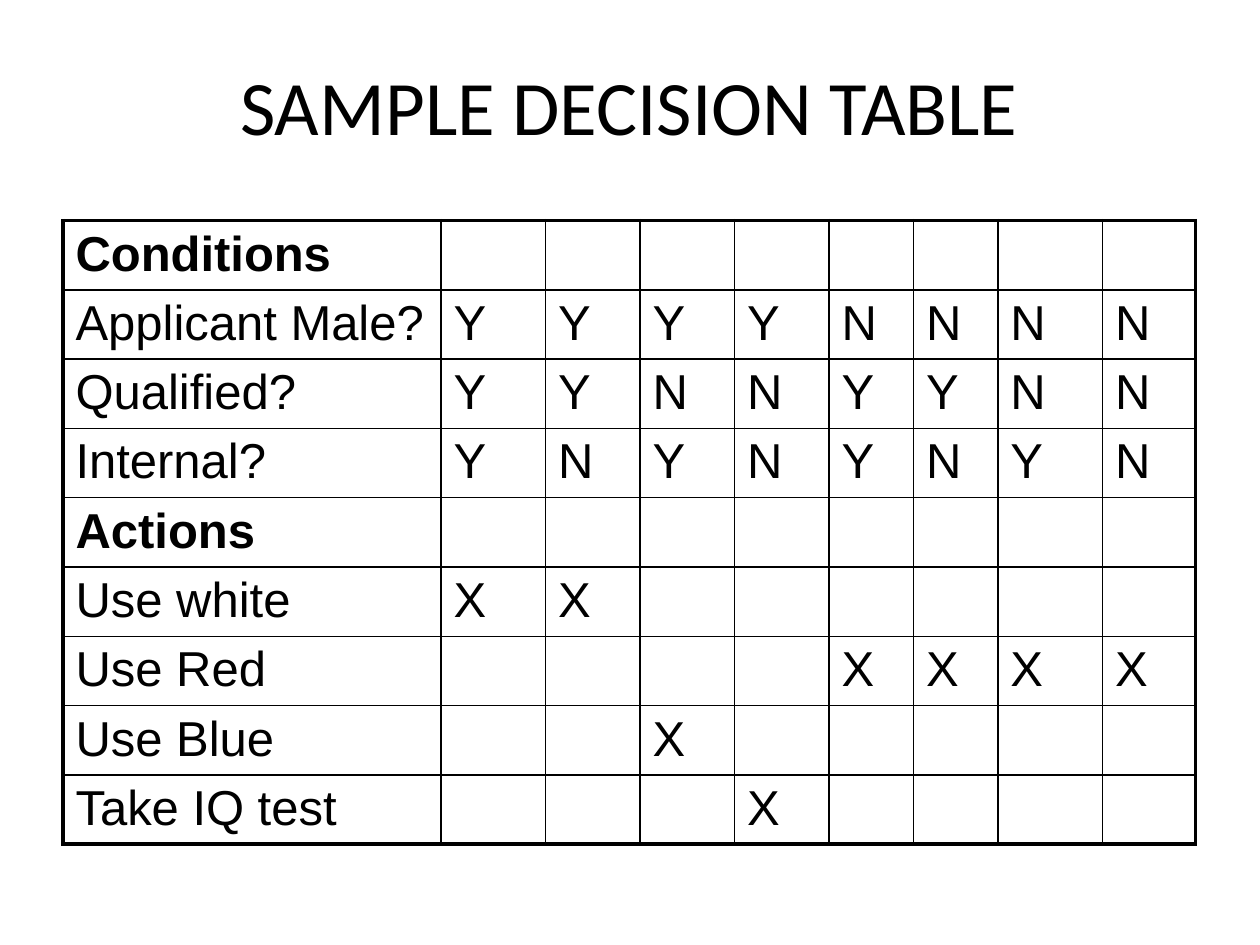
from lxml import etree
from pptx import Presentation
from pptx.dml.color import RGBColor
from pptx.enum.text import MSO_ANCHOR, PP_ALIGN
from pptx.oxml.ns import qn
from pptx.util import Inches, Pt

CENTER = PP_ALIGN.CENTER
MIDDLE = MSO_ANCHOR.MIDDLE
TITLE_ONLY = 5

COLORS = {"ink": "000000"}
OUTER_WIDTH = Pt(2.25)
INNER_WIDTH = Pt(1)
COLUMN_WIDTHS = [3, 0.83, 0.75, 0.75, 0.75, 0.67, 0.67, 0.83, 0.74]
ROW_HEIGHT = 0.55
HEADINGS = {"Conditions", "Actions"}
DECISIONS = [
    ("Conditions", "--------"),
    ("Applicant Male?", "YYYYNNNN"),
    ("Qualified?", "YYNNYYNN"),
    ("Internal?", "YNYNYNYN"),
    ("Actions", "--------"),
    ("Use white", "XX------"),
    ("Use Red", "----XXXX"),
    ("Use Blue", "--X-----"),
    ("Take IQ test", "---X----"),
]


def add_text(paragraph, text, font_name, size, bold=False):
    run = paragraph.add_run()
    run.text = text
    run.font.name = font_name
    run.font.size = Pt(size)
    run.font.bold = bold
    run.font.color.rgb = RGBColor.from_string(COLORS["ink"])


def add_title(slide, text):
    title = slide.shapes.title
    title.left, title.top = Inches(0.5), Inches(0.33)
    title.width, title.height = Inches(8.99), Inches(1)
    title.text_frame.vertical_anchor = MIDDLE
    paragraph = title.text_frame.paragraphs[0]
    paragraph.alignment = CENTER
    add_text(paragraph, text, "Calibri", 44)


def set_border(cell, side, width):
    properties = cell._tc.get_or_add_tcPr()
    line = etree.SubElement(properties, qn(f"a:ln{side}"), w=str(width))
    fill = etree.SubElement(line, qn("a:solidFill"))
    etree.SubElement(fill, qn("a:srgbClr"), val=COLORS["ink"])


def format_cell(cell, row, column):
    on_edge = {
        "L": column == 0,
        "R": column == len(COLUMN_WIDTHS) - 1,
        "T": row == 0,
        "B": row == len(DECISIONS) - 1,
    }
    for side, outer in on_edge.items():
        set_border(cell, side, OUTER_WIDTH if outer else INNER_WIDTH)
    cell.fill.background()


def add_decision_table(slide):
    table = slide.shapes.add_table(
        len(DECISIONS), len(COLUMN_WIDTHS), Inches(0.5), Inches(1.75),
        Inches(sum(COLUMN_WIDTHS)), Inches(ROW_HEIGHT * len(DECISIONS)),
    ).table
    table.first_row = False
    table.horz_banding = False
    for column, width in zip(table.columns, COLUMN_WIDTHS):
        column.width = Inches(width)
    for row, (label, rules) in enumerate(DECISIONS):
        table.rows[row].height = Inches(ROW_HEIGHT)
        for column, entry in enumerate([label, *rules]):
            cell = table.cell(row, column)
            format_cell(cell, row, column)
            if entry != "-":
                add_text(cell.text_frame.paragraphs[0], entry, "Arial", 28,
                         bold=entry in HEADINGS)


def main():
    presentation = Presentation()
    presentation.slide_width = Inches(10)
    presentation.slide_height = Inches(7.5)
    slide = presentation.slides.add_slide(presentation.slide_layouts[TITLE_ONLY])
    add_title(slide, "SAMPLE DECISION TABLE")
    add_decision_table(slide)
    presentation.save("out.pptx")


if __name__ == "__main__":
    main()
